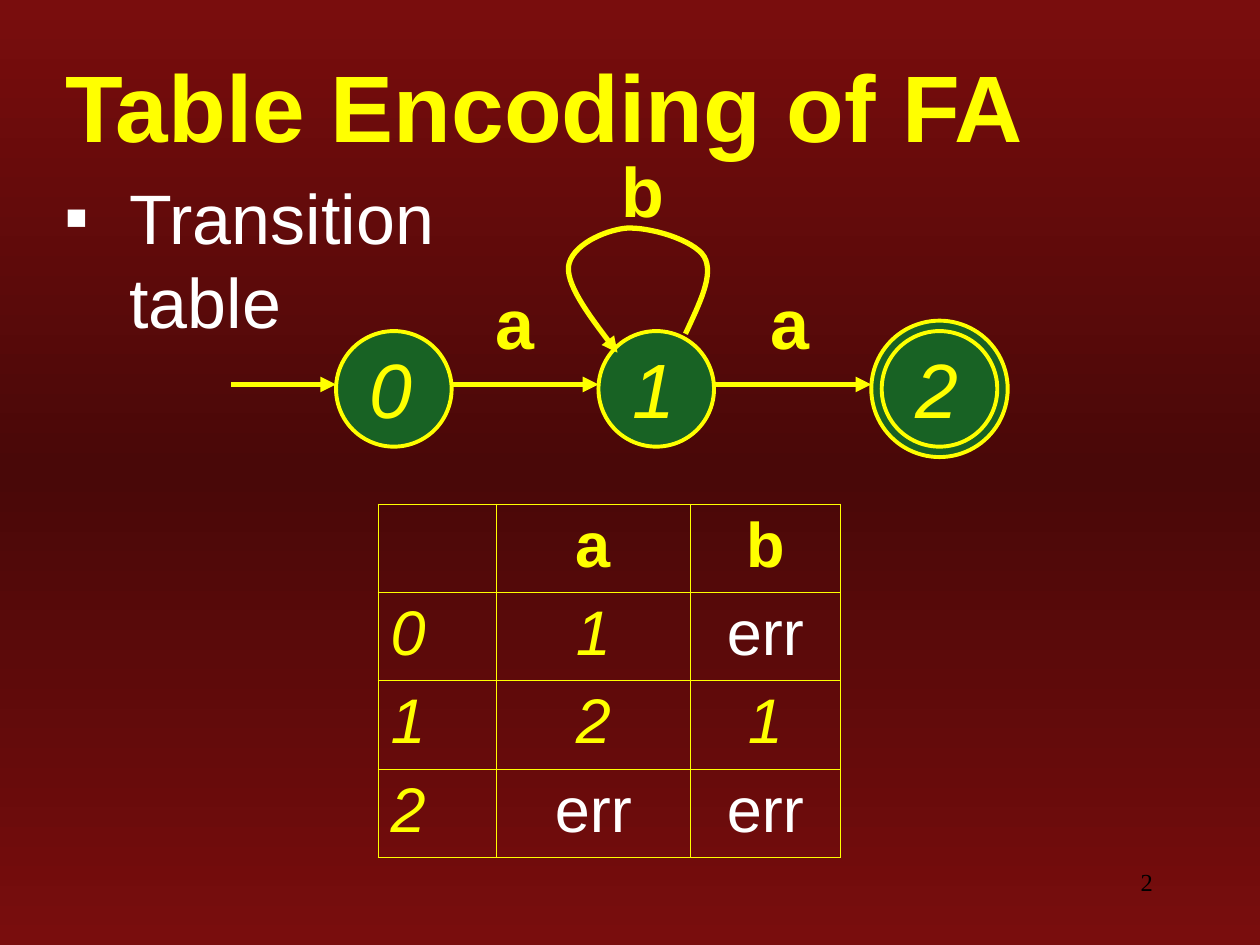
from copy import deepcopy
from pptx import Presentation
from pptx.dml.color import RGBColor
from pptx.enum.shapes import MSO_CONNECTOR, MSO_SHAPE
from pptx.enum.text import MSO_ANCHOR, PP_ALIGN
from pptx.oxml import parse_xml
from pptx.oxml.ns import nsdecls, qn
from pptx.util import Cm, Pt

YELLOW, WHITE, GREEN = "FFFF00", "FFFFFF", "186224"
DARK, RED = "490808", "790D0D"


def rgb(code):
    return RGBColor.from_string(code)


def node(tag, body="", **attrs):
    """Make one DrawingML element."""
    text = " ".join(f'{key}="{val}"' for key, val in attrs.items())
    return parse_xml(f'<a:{tag} {nsdecls("a")} {text}>{body}</a:{tag}>')


def solid(code):
    return f'<a:solidFill><a:srgbClr val="{code}"/></a:solidFill>'


def curve(start, parts, steps=16):
    """Return points along a chain of cubic Bezier parts."""
    points = [start]
    for b, c, d in parts:
        a = points[-1]
        for i in range(1, steps + 1):
            t = i / steps
            u = 1 - t
            points.append(tuple(
                u**3 * p + 3 * u * u * t * q + 3 * u * t * t * r + t**3 * s
                for p, q, r, s in zip(a, b, c, d)))
    return points


class Board:
    def __init__(self, deck):
        self.slide = deck.slides.add_slide(deck.slide_layouts[5])
        self.shapes = self.slide.shapes
        self.face = "Arial"

    def style(self, para, size, color=YELLOW, bold=False, italic=False, face=None):
        font = para.font
        font.name, font.size = face or self.face, Pt(size)
        font.bold, font.italic = bold, italic
        font.color.rgb = rgb(color)

    def ground(self, *colors):
        """Fill the background with an even vertical gradient."""
        fill = self.slide.background.fill
        fill.gradient()
        fill.gradient_angle = 90
        stops = self.slide.element.find(".//" + qn("a:gsLst"))
        while len(stops) < len(colors):
            stops.append(deepcopy(stops[-1]))
        for i, (stop, color) in enumerate(zip(fill.gradient_stops, colors)):
            stop.position = i / (len(colors) - 1)
            stop.color.rgb = rgb(color)

    def title(self, text, x, y, w, h):
        box = self.shapes.title
        box.left, box.top, box.width, box.height = Cm(x), Cm(y), Cm(w), Cm(h)
        frame = box.text_frame
        frame.text = text
        frame.vertical_anchor = MSO_ANCHOR.MIDDLE
        para = frame.paragraphs[0]
        para.alignment = PP_ALIGN.LEFT
        self.style(para, 54, bold=True)
        shade = ('<a:outerShdw dist="25400" dir="2700000">'
                 '<a:srgbClr val="CCCCCC"/></a:outerShdw>')
        para.runs[0].font._element.append(node("effectLst", shade))

    def text(self, text, x, y, w, h, size, align=PP_ALIGN.LEFT, gap=None,
             bullet=None, **look):
        frame = self.shapes.add_textbox(Cm(x), Cm(y), Cm(w), Cm(h)).text_frame
        frame.word_wrap = True
        frame.text = text
        para = frame.paragraphs[0]
        para.alignment = align
        if gap:
            para.line_spacing = gap
        if bullet:
            props = para._p.get_or_add_pPr()
            props.set("marL", str(Cm(1.3)))
            props.set("indent", str(-Cm(1.3)))
            props.append(node("buClr", f'<a:srgbClr val="{WHITE}"/>'))
            props.append(node("buFont", typeface=self.face))
            props.append(node("buChar", char=bullet))
        self.style(para, size, **look)

    def circle(self, x, y, d):
        """Draw a circle around the centre x, y."""
        ring = self.shapes.add_shape(
            MSO_SHAPE.OVAL, Cm(x - d / 2), Cm(y - d / 2), Cm(d), Cm(d))
        ring.shadow.inherit = False
        ring.fill.solid()
        ring.fill.fore_color.rgb = rgb(GREEN)
        ring.line.color.rgb = rgb(YELLOW)
        ring.line.width = Pt(2.25)
        return ring

    def point(self, shape):
        """Style a line and give its end an arrowhead."""
        shape.line.color.rgb = rgb(YELLOW)
        shape.line.width = Pt(3)
        props = shape._element.spPr
        props.find(qn("a:ln")).append(node("tailEnd", type="triangle"))
        return props

    def arrow(self, x, end, y):
        line = self.shapes.add_connector(
            MSO_CONNECTOR.STRAIGHT, Cm(x), Cm(y), Cm(end), Cm(y))
        self.point(line).append(node("effectLst"))

    def loop(self, points):
        spots = [(Cm(x), Cm(y)) for x, y in points]
        path = self.shapes.build_freeform(*spots[0])
        path.add_line_segments(spots[1:], close=False)
        shape = path.convert_to_shape()
        shape.shadow.inherit = False
        shape.fill.background()
        self.point(shape)

    def table(self, rows, x, y, widths, high):
        grid = self.shapes.add_table(
            len(rows), len(widths), Cm(x), Cm(y),
            Cm(sum(widths)), Cm(high * len(rows))).table
        for col, width in zip(grid.columns, widths):
            col.width = Cm(width)
        for r, row in enumerate(rows):
            grid.rows[r].height = Cm(high)
            for c, word in enumerate(row):
                self.cell(grid.cell(r, c), word, r == 0, c == 0)

    def cell(self, cell, word, head, first):
        cell.text = word
        para = cell.text_frame.paragraphs[0]
        para.alignment = PP_ALIGN.LEFT if first else PP_ALIGN.CENTER
        self.style(para, 36, WHITE if word == "err" else YELLOW,
                   bold=head, italic=word.isdigit())
        props = cell._tc.get_or_add_tcPr()
        for side in ("lnL", "lnR", "lnT", "lnB"):
            props.append(node(side, solid(YELLOW), w=Pt(0.45)))
        cell.fill.background()


def main():
    deck = Presentation()
    deck.slide_width, deck.slide_height = Cm(25.4), Cm(19.05)
    board = Board(deck)
    board.ground(RED, DARK, RED)
    board.title("Table Encoding of FA", 1.06, 1.06, 24.56, 2.12)
    board.text("Transition \vtable", 1.06, 3.39, 11.22, 14.18, 40,
               color=WHITE, bullet="▪")
    board.text("2", 18.2, 17.36, 5.29, 1.27, 14, PP_ALIGN.RIGHT,
               color="000000", face="Times New Roman")

    mid, size, outer = 7.84, 2.33, 2.75
    states = [7.94, 13.23, 18.94]
    rings = [board.circle(states[-1], mid, outer)]
    rings += [board.circle(x, mid, size) for x in states]
    board.shapes.add_group_shape([rings[0], rings[-1]])
    for i, x in enumerate((7.2, 12.5, 18.2)):
        board.text(str(i), x, 6.77, 1.37, 2.13, 44, italic=True)

    half = size / 2
    starts = [4.66, states[0] + half, states[1] + half]
    ends = [states[0] - half, states[1] - half, states[2] - outer / 2]
    for x, end in zip(starts, ends):
        board.arrow(x, end, 7.75)
    board.loop(curve((13.82, 6.73), [
        ((14.1, 6.12), (14.4, 5.54), (14.2, 5.18)),
        ((13.99, 4.83), (13.08, 4.57), (12.62, 4.6)),
        ((12.17, 4.65), (11.51, 4.95), (11.46, 5.38)),
        ((11.43, 5.79), (11.94, 6.45), (12.45, 7.11))]))
    for word, x, y in (("a", 9.74, 5.84), ("b", 12.28, 3.18), ("a", 15.28, 5.84)):
        board.text(word, x, y, 1.85, 1.63, 40, gap=0.8, bold=True)

    board.table([["", "a", "b"],
                 ["0", "1", "err"],
                 ["1", "2", "1"],
                 ["2", "err", "err"]], 7.62, 10.16, [2.38, 3.92, 3.02], 1.78)
    deck.save("out.pptx")


if __name__ == "__main__":
    main()
